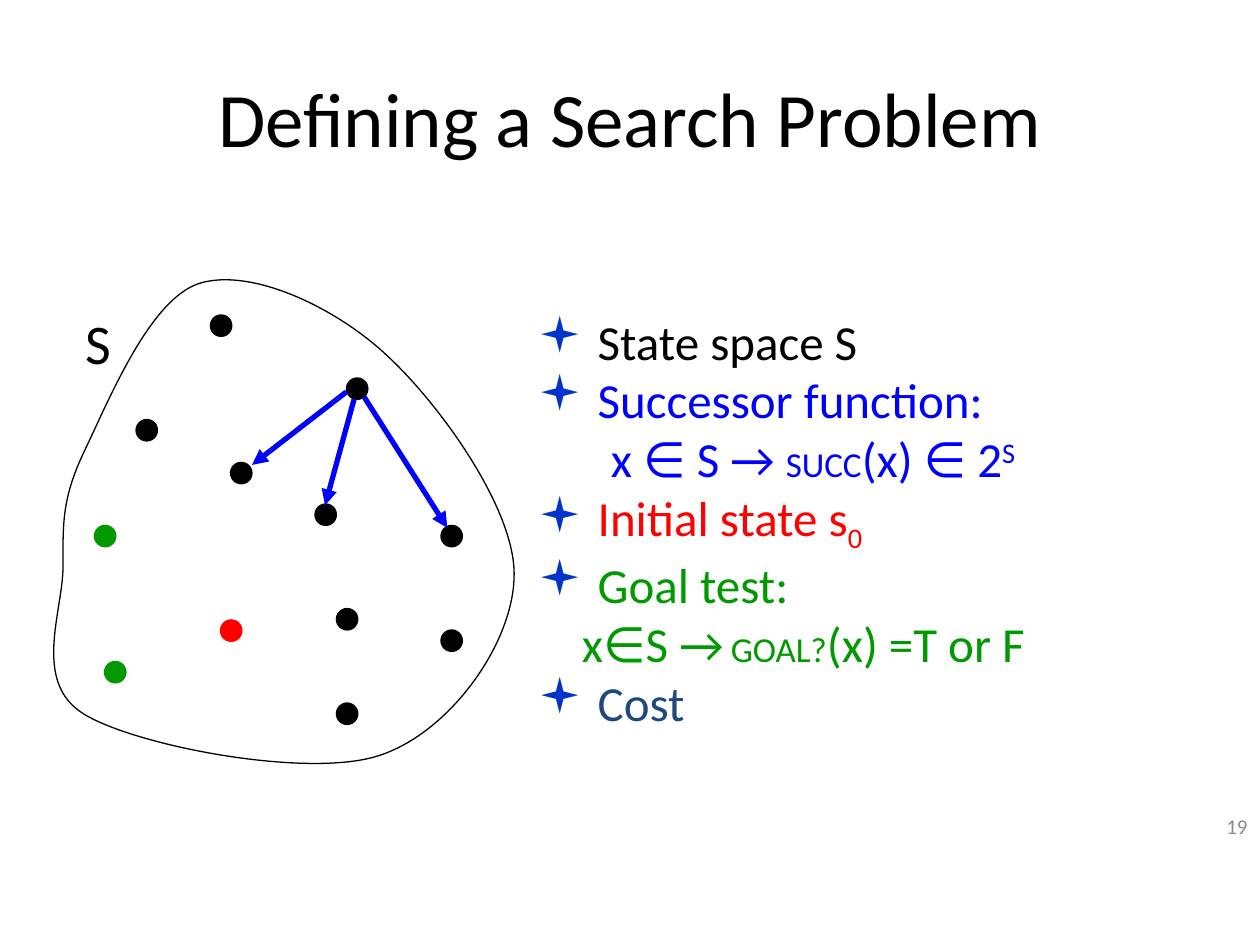
from lxml.etree import SubElement
from pptx import Presentation
from pptx.dml.color import RGBColor
from pptx.enum.shapes import MSO_CONNECTOR as CONNECTOR, MSO_SHAPE as SHAPE
from pptx.enum.text import MSO_ANCHOR as ANCHOR, PP_ALIGN as ALIGN
from pptx.oxml.ns import qn
from pptx.util import Inches, Pt

COLORS = {"black": "000000", "blue": "0000FF", "red": "FF0000", "green": "009900",
          "navy": "1F497D", "bullet": "0033CC", "grey": "8C8C8C"}
FONT = "Calibri"
BULLET_FONT = "Wingdings"
DOT = 0.17
FORMULA_TAB = 0.58

# Positions below are offsets from the top left of the state space region.
STATES = {
    "black": [(0.83, 1.21), (2.5, 0.88), (1.58, 1.55), (2.42, 2.71), (3.25, 2.05),
              (2.42, 3.46), (3.25, 2.88), (2.25, 1.88), (1.42, 0.38)],
    "red": [(1.5, 2.8)],
    "green": [(0.5, 2.05), (0.58, 3.13)],
}
SUCCESSOR_ARROWS = [((2.5, 0.99), (1.75, 1.57)), ((2.56, 1.05), (2.33, 1.89)),
                    ((2.64, 1.03), (3.3, 2.07))]
BORDER_START = (0.42, 1.46)
BORDER_CURVES = [
    ((0.24, 1.84), (0.25, 2.03), (0.25, 2.38)),
    ((0.25, 2.73), (0, 3.3), (0.42, 3.55)),
    ((0.83, 3.8), (2.18, 4.06), (2.75, 3.88)),
    ((3.32, 3.7), (3.82, 2.99), (3.83, 2.46)),
    ((3.85, 1.94), (3.25, 1.1), (2.83, 0.71)),
    ((2.42, 0.32), (1.74, 0), (1.33, 0.13)),
    ((0.93, 0.26), (0.6, 1.09), (0.42, 1.46)),
]

# Each paragraph: colour, left indent, bulleted, lines of runs (text, size, baseline in %).
DEFINITION = [
    ("black", 0, True, [[(" State space S", 28, 0)]]),
    ("blue", 0, True, [[(" Successor function:", 28, 0)],
                       [("\tx ∈ S → ", 28, 0), ("SUCC", 20, 0),
                        ("(x) ∈ 2", 28, 0), ("S", 28, 30)]]),
    ("red", 0, True, [[(" Initial state s", 28, 0), ("0", 28, -25)]]),
    ("green", 0, True, [[(" Goal test:", 28, 0)]]),
    ("green", 0.35, False, [[("x∈S →", 28, 0), (" ", 18, 0), ("GOAL?", 20, 0),
                             ("(x) =T or F", 28, 0)]]),
    ("navy", 0, True, [[(" Cost", 28, 0)]]),
]


def rgb(name):
    return RGBColor.from_string(COLORS[name])


def add_frame(slide, box, anchor=ANCHOR.TOP):
    frame = slide.shapes.add_textbox(*map(Inches, box)).text_frame
    frame.word_wrap = True
    frame.vertical_anchor = anchor
    return frame


def add_run(paragraph, text, size, color, baseline=0):
    run = paragraph.add_run()
    run.text = text
    settings = {"name": FONT, "size": Pt(size)}
    for attribute, value in settings.items():
        setattr(run.font, attribute, value)
    run.font.color.rgb = rgb(color)
    if baseline:
        run._r.get_or_add_rPr().set("baseline", str(baseline * 1000))


def add_label(slide, box, text, size, color="black", align=ALIGN.LEFT, anchor=ANCHOR.TOP):
    paragraph = add_frame(slide, box, anchor).paragraphs[0]
    paragraph.alignment = align
    add_run(paragraph, text, size, color)


def set_indent(paragraph, indent, bulleted):
    properties = paragraph._p.get_or_add_pPr()
    properties.set("marL", str(Inches(indent)))
    properties.set("indent", "0")
    if bulleted:
        color = SubElement(properties, qn("a:buClr"))
        SubElement(color, qn("a:srgbClr"), val=COLORS["bullet"])
        SubElement(properties, qn("a:buFont"), typeface=BULLET_FONT)
        SubElement(properties, qn("a:buChar"), char="▪")
    else:
        SubElement(properties, qn("a:buNone"))
    tabs = SubElement(properties, qn("a:tabLst"))
    SubElement(tabs, qn("a:tab"), pos=str(Inches(FORMULA_TAB)), algn="l")


def add_definition(slide, box):
    frame = add_frame(slide, box)
    frame.margin_right = 0
    for number, (color, indent, bulleted, lines) in enumerate(DEFINITION):
        paragraph = frame.add_paragraph() if number else frame.paragraphs[0]
        set_indent(paragraph, indent, bulleted)
        for line_number, runs in enumerate(lines):
            if line_number:
                paragraph.add_line_break()
            for text, size, baseline in runs:
                add_run(paragraph, text, size, color, baseline)


def add_state(slide, x, y, color):
    state = slide.shapes.add_shape(SHAPE.OVAL, *map(Inches, (x, y, DOT, DOT)))
    state.shadow.inherit = False
    state.fill.solid()
    state.fill.fore_color.rgb = rgb(color)
    state.line.color.rgb = rgb(color)
    state.line.width = Pt(0.75)


def add_arrow(slide, start, end):
    arrow = slide.shapes.add_connector(CONNECTOR.STRAIGHT, *map(Inches, start + end))
    arrow.line.color.rgb = rgb("blue")
    arrow.line.width = Pt(3)
    SubElement(arrow.line._get_or_add_ln(), qn("a:tailEnd"), type="triangle")
    SubElement(arrow._element.spPr, qn("a:effectLst"))


def bend_segments(shape):
    """Turn each three straight segments of a freeform into one cubic curve."""
    segments = list(shape._element.iter(qn("a:lnTo")))
    for first in range(0, len(segments), 3):
        curve = segments[first]
        curve.tag = qn("a:cubicBezTo")
        for segment in segments[first + 1:first + 3]:
            curve.append(segment[0])
            segment.getparent().remove(segment)


def add_border(slide, left, top):
    points = [point for curve in BORDER_CURVES for point in curve]
    builder = slide.shapes.build_freeform(*map(Inches, BORDER_START), scale=1.0)
    builder.add_line_segments([(Inches(x), Inches(y)) for x, y in points], close=True)
    border = builder.convert_to_shape(Inches(left), Inches(top))
    border.shadow.inherit = False
    border.fill.background()
    border.line.color.rgb = rgb("black")
    border.line.width = Pt(0.75)
    bend_segments(border)


def add_state_space(slide, left, top):
    def place(point):
        return left + point[0], top + point[1]

    for color, points in STATES.items():
        for point in points:
            add_state(slide, *place(point), color)
    add_border(slide, left, top)
    for start, end in SUCCESSOR_ARROWS:
        add_arrow(slide, place(start), place(end))
    add_label(slide, (*place((0.33, 0.28)), 0.48, 0.64), "S", 32)


def main():
    deck = Presentation()
    deck.slide_width, deck.slide_height = Inches(10), Inches(7.5)
    slide = deck.slides.add_slide(deck.slide_layouts[6])
    add_label(slide, (0.5, 0.3, 9, 1.25), "Defining a Search Problem", 44,
              align=ALIGN.CENTER, anchor=ANCHOR.MIDDLE)
    add_label(slide, (9.33, 6.27, 0.67, 0.57), "19", 12, "grey", ALIGN.RIGHT, ANCHOR.MIDDLE)
    add_definition(slide, (4.17, 2.42, 4.08, 3.87))
    add_state_space(slide, 0.25, 2.12)
    deck.save("out.pptx")


if __name__ == "__main__":
    main()
